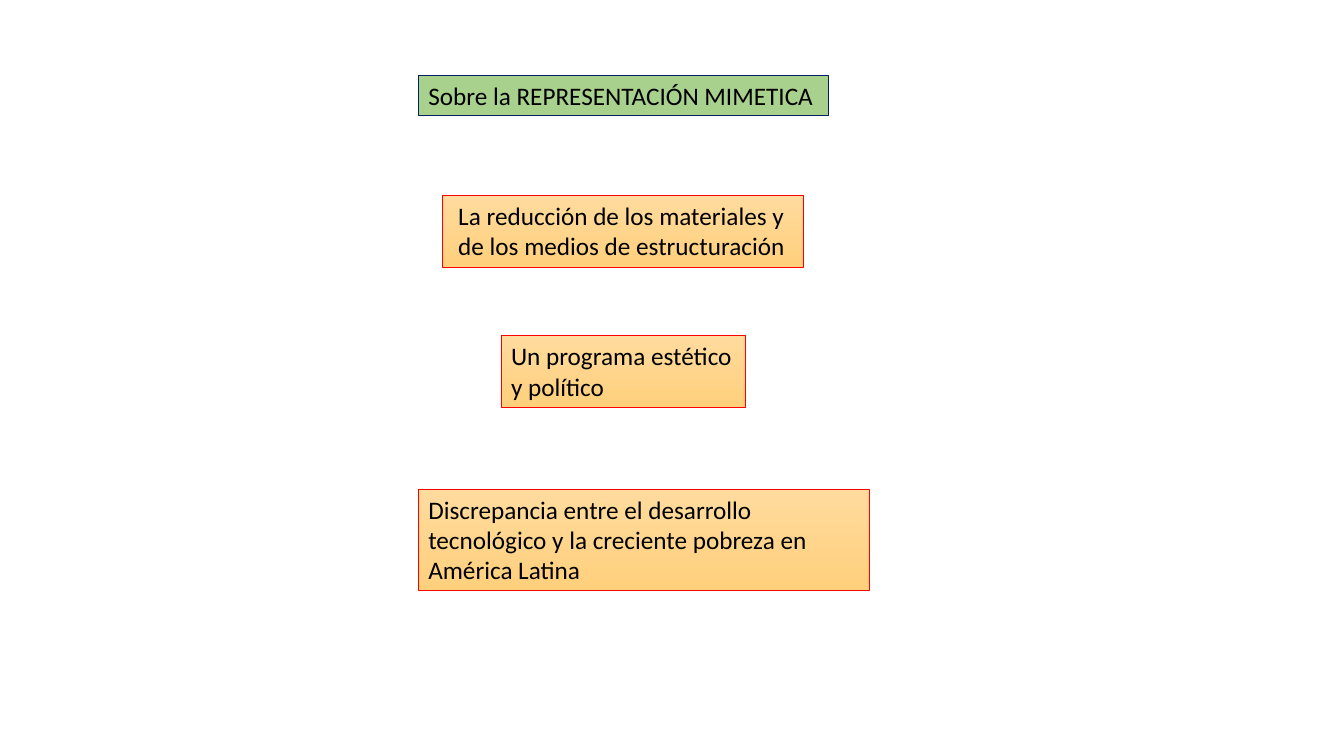
from dataclasses import dataclass

from pptx import Presentation
from pptx.dml.color import RGBColor
from pptx.enum.shapes import MSO_SHAPE
from pptx.enum.text import MSO_ANCHOR, MSO_AUTO_SIZE, PP_ALIGN
from pptx.util import Inches, Pt

RECTANGLE = MSO_SHAPE.RECTANGLE
TOP = MSO_ANCHOR.TOP
GROW = MSO_AUTO_SIZE.SHAPE_TO_FIT_TEXT
LEFT = PP_ALIGN.LEFT

FONT = "Calibri"
COLORS = {
    "green": "A9D18E",
    "navy": "002060",
    "amber_light": "FFDB9E",
    "amber_dark": "FFD07C",
    "red": "FF0000",
    "black": "000000",
}


@dataclass(frozen=True)
class TextBox:
    left: float
    top: float
    width: float
    height: float
    lines: tuple[str, ...]
    fills: tuple[str, ...] = ("amber_light", "amber_dark")
    border: str = "red"
    border_width: float = 0.5
    wrap: bool = True


BOXES = (
    TextBox(4.15, 0.75, 4.07, 0.4, ("Sobre la REPRESENTACIÓN MIMETICA",),
            fills=("green",), border="navy", border_width=0.75),
    TextBox(4.39, 1.94, 3.58, 0.71,
            (" La reducción de los materiales y",
             " de los medios de estructuración")),
    TextBox(4.97, 3.33, 2.42, 0.71,
            ("Un programa estético", "y político"), wrap=False),
    TextBox(4.15, 4.85, 4.47, 1.01,
            ("Discrepancia entre el desarrollo",
             "tecnológico y la creciente pobreza en",
             "América Latina")),
)


def color(name: str) -> RGBColor:
    return RGBColor.from_string(COLORS[name])


def paint(shape, fills: tuple[str, ...]) -> None:
    """One colour gives a solid fill, two a top-to-bottom gradient."""
    if len(fills) == 1:
        shape.fill.solid()
        shape.fill.fore_color.rgb = color(fills[0])
        return
    shape.fill.gradient()
    shape.fill.gradient_angle = 270
    for stop, name in zip(shape.fill.gradient_stops, fills):
        stop.color.rgb = color(name)


def draw_box(page, box: TextBox) -> None:
    shape = page.shapes.add_shape(
        RECTANGLE, Inches(box.left), Inches(box.top),
        Inches(box.width), Inches(box.height))
    shape.shadow.inherit = False
    paint(shape, box.fills)
    shape.line.color.rgb = color(box.border)
    shape.line.width = Pt(box.border_width)

    # Text, one paragraph per line
    frame = shape.text_frame
    frame.word_wrap = box.wrap
    frame.auto_size = GROW
    frame.vertical_anchor = TOP
    for index, line in enumerate(box.lines):
        para = frame.add_paragraph() if index else frame.paragraphs[0]
        para.alignment = LEFT
        span = para.add_run()
        span.text = line
        span.font.name = FONT
        span.font.size = Pt(18)
        span.font.color.rgb = color("black")


def main() -> None:
    deck = Presentation()
    deck.slide_width = Inches(13.33)
    deck.slide_height = Inches(7.5)
    page = deck.slides.add_slide(deck.slide_layouts[6])

    # Heading and the three points below it
    for box in BOXES:
        draw_box(page, box)
    deck.save("out.pptx")


if __name__ == "__main__":
    main()
